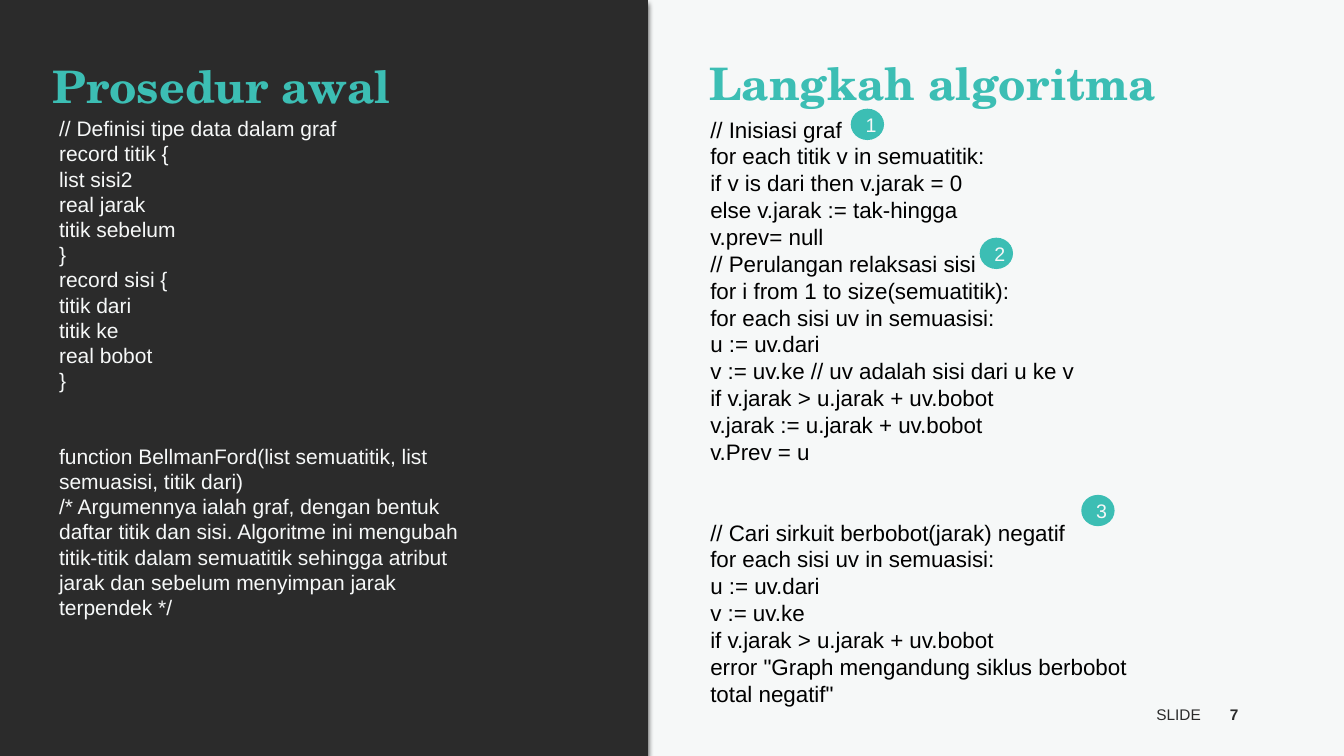
import pptx
import pptx.util
import pptx.dml.color
import pptx.enum.shapes
import pptx.enum.text
import pptx.oxml
import pptx.oxml.ns

Cm, Pt = pptx.util.Cm, pptx.util.Pt
Align, Anchor = pptx.enum.text.PP_ALIGN, pptx.enum.text.MSO_ANCHOR
Kind = pptx.enum.shapes.MSO_SHAPE
hues = {"dark": "2B2B2B", "pale": "F6F8F8", "teal": "3CBEB4", "black": "000000"}


def paint(fill, hue):
    fill.solid()
    fill.fore_color.rgb = pptx.dml.color.RGBColor.from_string(hues[hue])


def write(shape, lines, size, hue, align=Align.LEFT, font="Arial", bold=False):
    frame = shape.text_frame
    frame.word_wrap = True
    for num, line in enumerate(lines):
        para = frame.add_paragraph() if num else frame.paragraphs[0]
        para.text = line
        para.alignment = align
        for run in para.runs:
            run.font.name = font
            run.font.size = Pt(size)
            run.font.bold = bold
            paint(run.font.fill, hue)
    return frame


deck = pptx.Presentation()
deck.slide_width, deck.slide_height = Cm(33.87), Cm(19.05)
slide = deck.slides.add_slide(deck.slide_layouts[6])
paint(slide.background.fill, "pale")
shapes = slide.shapes

# Dark left panel with a soft shadow
panel = shapes.add_shape(Kind.RECTANGLE, 0, 0, Cm(16.33), deck.slide_height)
paint(panel.fill, "dark")
panel.line.fill.background()
panel.shadow.inherit = False
glow = pptx.oxml.parse_xml(
    f'<a:outerShdw {pptx.oxml.ns.nsdecls("a")} blurRad="{Pt(4)}" dist="{Pt(3)}" '
    f'dir="{69 * 60000}" algn="ctr" rotWithShape="0">'
    f'<a:srgbClr val="{hues["black"]}"><a:alpha val="69000"/></a:srgbClr></a:outerShdw>')
panel.element.spPr.find(pptx.oxml.ns.qn("a:effectLst")).append(glow)

# Code columns: the paragraph at index "gap" follows two empty lines
setup = [
    "// Definisi tipe data dalam graf",
    "record titik {",
    "list sisi2",
    "real jarak",
    "titik sebelum",
    "}",
    "record sisi {",
    "titik dari",
    "titik ke",
    "real bobot",
    "}",
    "function BellmanFord(list semuatitik, list semuasisi, titik dari)",
    "/* Argumennya ialah graf, dengan bentuk daftar titik dan sisi. Algoritme ini "
    "mengubah titik-titik dalam semuatitik sehingga atribut jarak dan sebelum "
    "menyimpan jarak terpendek */",
]
steps = [
    "// Inisiasi graf",
    "for each titik v in semuatitik:",
    "if v is dari then v.jarak = 0",
    "else v.jarak := tak-hingga",
    "v.prev= null",
    "// Perulangan relaksasi sisi",
    "for i from 1 to size(semuatitik):",
    "for each sisi uv in semuasisi:",
    "u := uv.dari",
    "v := uv.ke // uv adalah sisi dari u ke v",
    "if v.jarak > u.jarak + uv.bobot",
    "v.jarak := u.jarak + uv.bobot",
    "v.Prev = u",
    "// Cari sirkuit berbobot(jarak) negatif",
    "for each sisi uv in semuasisi:",
    "u := uv.dari",
    "v := uv.ke",
    "if v.jarak > u.jarak + uv.bobot",
    'error "Graph mengandung siklus berbobot total negatif"',
]
for left, high, lines, size, hue, gap in [
    (1.24, 14.35, setup, 15, "pale", 11),
    (17.65, 15.29, steps, 16, "black", 13),
]:
    box = shapes.add_textbox(Cm(left), Cm(2.79), Cm(11.23), Cm(high))
    frame = write(box, lines, size, hue)
    pitch = size * 1.2
    for para in frame.paragraphs:
        para.line_spacing = Pt(pitch)
    frame.paragraphs[gap].space_before = Pt(2 * pitch)

# Numbered step markers
for num, (left, top) in enumerate([(21.44, 2.74), (24.69, 5.99), (27.25, 12.47)], 1):
    dot = shapes.add_shape(Kind.OVAL, Cm(left), Cm(top), Cm(0.84), Cm(0.79))
    paint(dot.fill, "teal")
    dot.line.fill.background()
    dot.shadow.inherit = False
    frame = write(dot, [str(num)], 14, "pale", Align.CENTER)
    frame.vertical_anchor = Anchor.MIDDLE

# Titles
for left, top, title in [(1.07, 1.35, "Prosedur awal"), (17.63, 1.27, "Langkah algoritma")]:
    box = shapes.add_textbox(Cm(left), Cm(top), Cm(16), Cm(1.04))
    write(box, [title], 32, "teal", Align.JUSTIFY, "TeX Gyre Schola", True)

# Footer
label = shapes.add_textbox(Cm(28.6), Cm(17.65), Cm(2.21), Cm(0.74))
write(label, ["SLIDE"], 11, "dark", Align.CENTER)
page = shapes.add_textbox(Cm(30.51), Cm(17.42), Cm(1.19), Cm(1.14))
frame = write(page, ["7"], 11, "dark", Align.CENTER, bold=True)
frame.vertical_anchor = Anchor.MIDDLE

deck.save("out.pptx")
